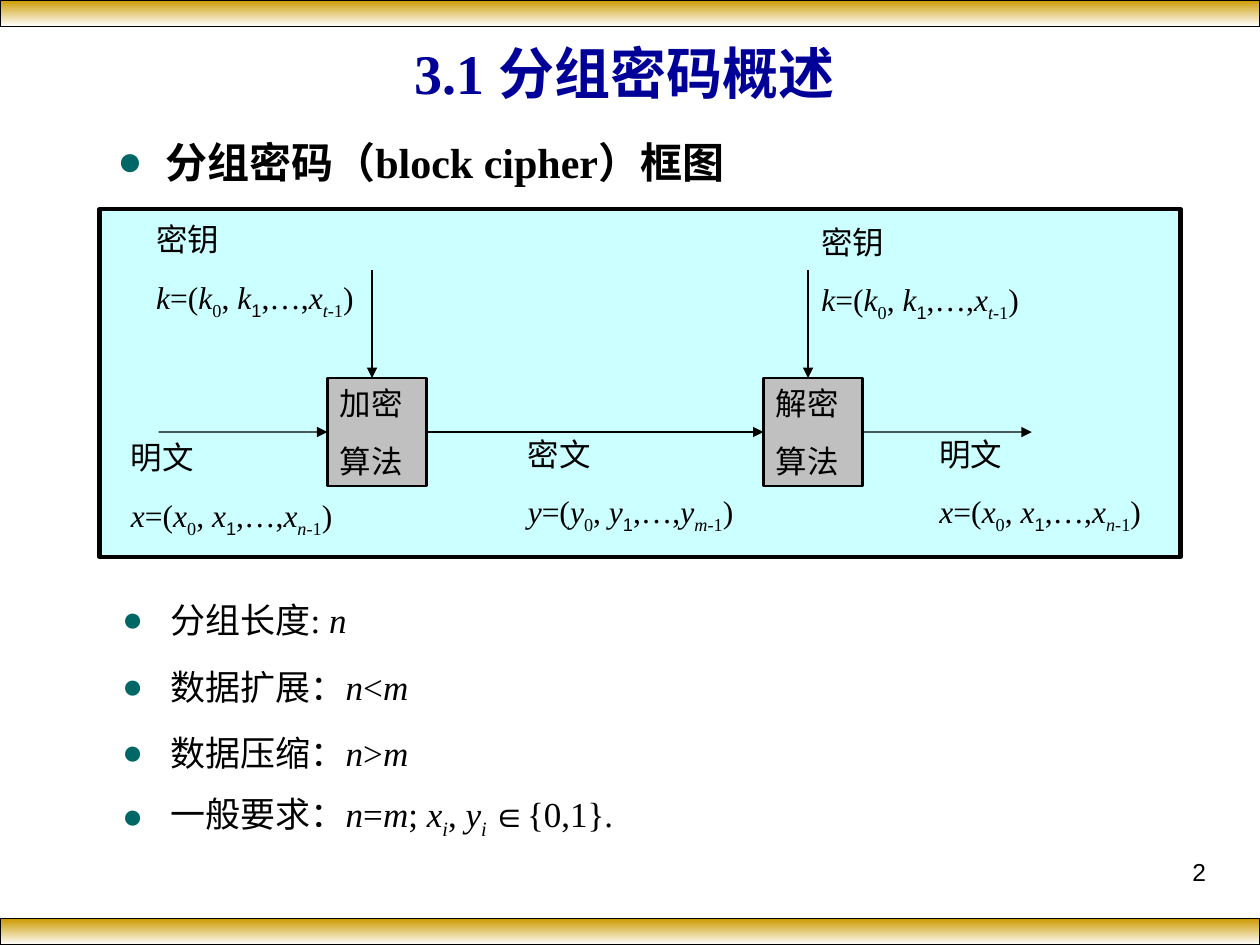
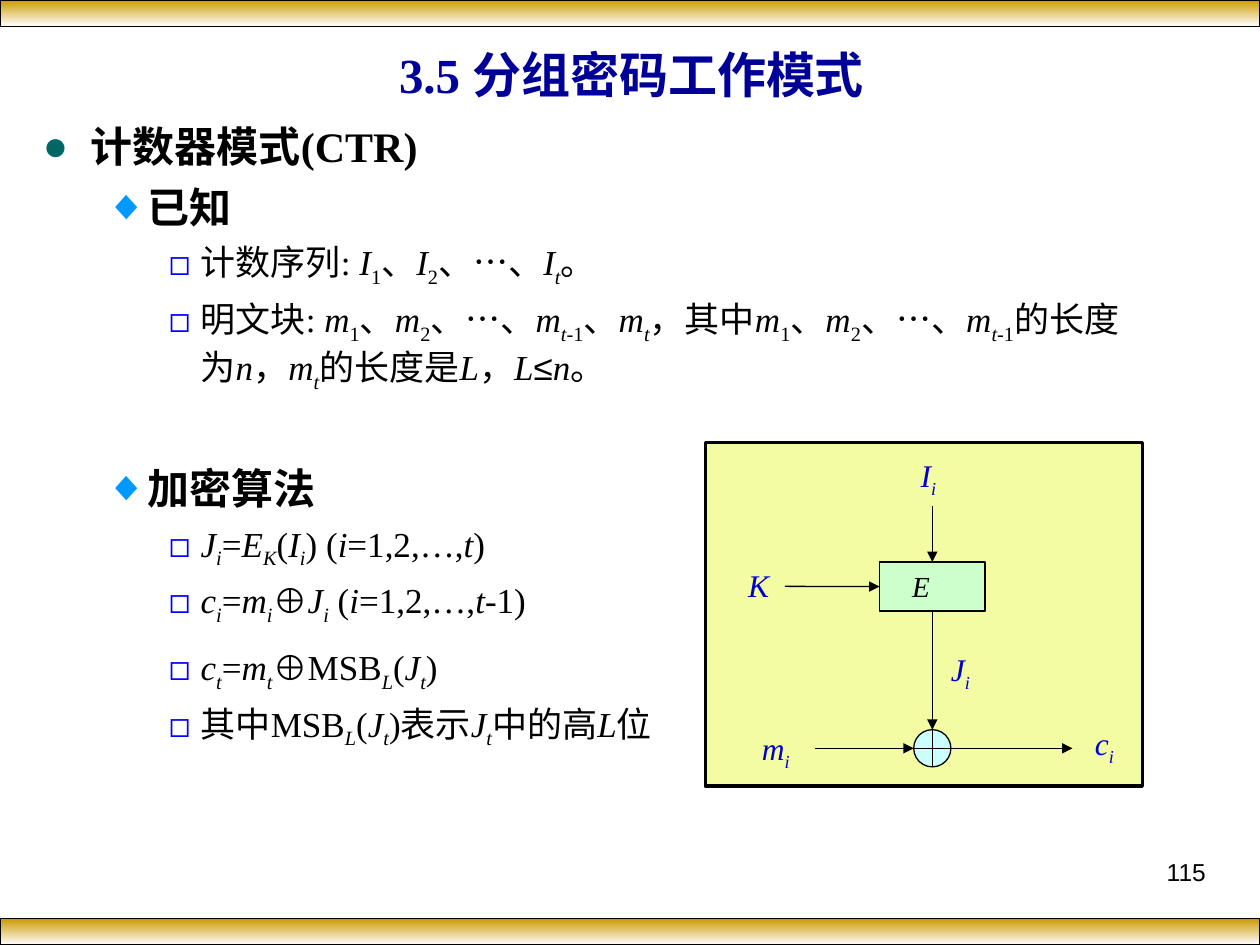
from dataclasses import dataclass

from lxml.etree import SubElement
from pptx import Presentation
from pptx.dml.color import RGBColor
from pptx.enum.shapes import MSO_CONNECTOR, MSO_SHAPE
from pptx.enum.text import MSO_ANCHOR, MSO_AUTO_SIZE, PP_ALIGN
from pptx.oxml.ns import qn
from pptx.util import Cm, Pt


@dataclass(frozen=True)
class Theme:
    serif: str = "Times New Roman"
    sans: str = "Arial"
    ink: str = "000000"
    title: str = "000099"
    symbol: str = "0000CC"
    gold: str = "CC9900"
    white: str = "FFFFFF"
    cyan: str = "CCFFFF"
    grey: str = "C0C0C0"
    yellow: str = "F3FBA3"
    green: str = "CCFFCC"
    label_size: float = 18
    cipher_size: float = 16.6
    page_size: float = 14
    thin: float = 0.75
    label_gap: float = 11.2


@dataclass(frozen=True)
class ListLevel:
    """Look of one list level; margin and hanging indent in cm."""
    depth: int
    bullet: str
    colour: str
    size: float
    bold: bool
    margin: float
    hang: float
    before: float
    line: float = 0


@dataclass(frozen=True)
class Box:
    """A place on the slide, in cm."""
    left: float
    top: float
    width: float
    height: float

    def inside(self, x, y, width, height):
        return Box(self.left + x, self.top + y, width, height)

    def point(self, x, y):
        return Cm(self.left + x), Cm(self.top + y)

    def lengths(self):
        return Cm(self.left), Cm(self.top), Cm(self.width), Cm(self.height)


THEME = Theme()
HEADING = ListLevel(0, "●", "006666", 24, True, 0.97, 0.97, 6)
PROPERTY = ListLevel(0, "●", "006666", 20, False, 0.97, 0.97, 5, 33)
TOPIC = ListLevel(1, "◆", "0099FF", 24, True, 2.06, 0.79, 6)
DETAIL = ListLevel(2, "◻", "0000FF", 20, False, 3.18, 0.64, 5)

PAGE = Box(0, 0, 25.4, 19.05)
BAND_HEIGHT = 0.53


def add_spans(para, marked):
    """Add runs: /italic/, [subscript], ~sans symbol~."""
    italic = lowered = sans = False
    text = ""
    for mark in marked + "/":
        if mark not in "/[]~":
            text += mark
            continue
        if text:
            span = para.add_run()
            span.text = text
            if italic:
                span.font.italic = True
            if sans:
                span.font.name = THEME.sans
            if lowered:
                span.font._element.set("baseline", "-25000")
            text = ""
        if mark == "/":
            italic = not italic
        elif mark == "~":
            sans = not sans
        else:
            lowered = mark == "["


def style_font(para, size, colour=THEME.ink, name=THEME.serif, bold=False):
    font = para.font
    font.size, font.name, font.bold = Pt(size), name, bold
    font.color.rgb = RGBColor.from_string(colour)


def paragraphs(frame, count):
    return [frame.paragraphs[0]] + [frame.add_paragraph() for _ in range(count - 1)]


def write_lines(frame, lines, size, colour=THEME.ink, name=THEME.serif, align=PP_ALIGN.LEFT):
    frame.word_wrap = True
    frame.vertical_anchor = MSO_ANCHOR.TOP
    for index, (para, line) in enumerate(zip(paragraphs(frame, len(lines)), lines)):
        para.alignment = align
        para.space_before = Pt(THEME.label_gap if index else 0)
        style_font(para, size, colour, name)
        add_spans(para, line)


def place(shape, box):
    shape.left, shape.top, shape.width, shape.height = box.lengths()


def fill_title(slide, box, text, size):
    place(slide.shapes.title, box)
    frame = slide.shapes.title.text_frame
    frame.auto_size = MSO_AUTO_SIZE.NONE
    frame.vertical_anchor = MSO_ANCHOR.MIDDLE
    para = frame.paragraphs[0]
    para.alignment = PP_ALIGN.CENTER
    style_font(para, size, THEME.title, bold=True)
    add_spans(para, text)


def set_bullet(para, level):
    properties = para._p.get_or_add_pPr()
    properties.set("marL", str(Cm(level.margin)))
    properties.set("indent", str(-Cm(level.hang)))
    colour = SubElement(properties, qn("a:buClr"))
    SubElement(colour, qn("a:srgbClr"), val=level.colour)
    SubElement(properties, qn("a:buChar"), char=level.bullet)


def fill_list(placeholder, box, items):
    """Items are (level, text) or (level, text, points before)."""
    place(placeholder, box)
    frame = placeholder.text_frame
    frame.auto_size = MSO_AUTO_SIZE.NONE
    for index, (para, item) in enumerate(zip(paragraphs(frame, len(items)), items)):
        level, text, *before = item
        para.level = level.depth
        set_bullet(para, level)
        gap = before[0] if before else level.before
        para.space_before = Pt(gap if index else 0)
        if level.line:
            para.line_spacing = Pt(level.line)
        style_font(para, level.size, bold=level.bold)
        add_spans(para, text)


def add_block(slide, box, fill, line_width, kind=MSO_SHAPE.RECTANGLE):
    block = slide.shapes.add_shape(kind, *box.lengths())
    block.shadow.inherit = False
    block.fill.solid()
    block.fill.fore_color.rgb = RGBColor.from_string(fill)
    block.line.color.rgb = RGBColor.from_string(THEME.ink)
    block.line.width = Pt(line_width)
    return block


def add_label(slide, box, lines, size=THEME.label_size, **look):
    label = slide.shapes.add_textbox(*box.lengths())
    write_lines(label.text_frame, lines, size, **look)


def add_arrow(slide, start, end, source=None, target=None):
    """Draw an arrow; source and target are (block, side) to join."""
    arrow = slide.shapes.add_connector(MSO_CONNECTOR.STRAIGHT, *start, *end)
    if source:
        arrow.begin_connect(*source)
    if target:
        arrow.end_connect(*target)
    arrow.line.color.rgb = RGBColor.from_string(THEME.ink)
    arrow.line.width = Pt(THEME.thin)
    SubElement(arrow.line._get_or_add_ln(), qn("a:tailEnd"), type="triangle")
    SubElement(arrow._element.spPr, qn("a:effectLst"))


def add_bands(slide):
    for top in (0, PAGE.height - BAND_HEIGHT):
        band = add_block(slide, Box(0, top, PAGE.width, BAND_HEIGHT), THEME.gold, THEME.thin)
        band.fill.gradient()
        band.fill.gradient_angle = 270
        for stop, position, colour in zip(band.fill.gradient_stops, (0, 1), (THEME.gold, THEME.white)):
            stop.position = position
            stop.color.rgb = RGBColor.from_string(colour)


def add_page(deck, layout, number):
    slide = deck.slides.add_slide(deck.slide_layouts.get_by_name(layout))
    add_bands(slide)
    add_label(slide, Box(18.21, 17.15, 6.35, 1.32), [number], THEME.page_size,
              name=THEME.sans, align=PP_ALIGN.RIGHT)
    return slide


def vector(name, element, last):
    return f"/{name}/=(/{element}/[0], /{element}/[~1~],…,/{'x' if name == 'k' else element}/[/{last}/-1])"


def draw_cipher_flow(slide, box):
    add_block(slide, box, THEME.cyan, 2.5)
    block_top, block_width, block_height = 3.4, 2, 2.18
    middle = block_top + block_height / 2
    blocks = []
    for x, name in ((4.59, "加密"), (13.38, "解密")):
        block = add_block(slide, box.inside(x, block_top, block_width, block_height), THEME.grey, 1.5)
        write_lines(block.text_frame, [name, "算法"], THEME.label_size, name=THEME.sans)
        key_x = x + 0.9
        add_arrow(slide, box.point(key_x, 1.22), box.point(key_x, block_top))
        blocks.append(block)
    encrypt, decrypt = blocks
    start, end = box.point(1.19, middle), box.point(18.79, middle)
    add_arrow(slide, start, end, target=(encrypt, 1))
    add_arrow(slide, start, end, source=(encrypt, 3), target=(decrypt, 1))
    add_arrow(slide, start, end, source=(decrypt, 3))
    for x, y, name, formula in (
        (0.38, 4.49, "明文", vector("x", "x", "n")),
        (8.38, 4.42, "密文", vector("y", "y", "m")),
        (16.68, 4.42, "明文", vector("x", "x", "n")),
        (0.89, 0.1, "密钥", vector("k", "k", "t")),
        (14.3, 0.15, "密钥", vector("k", "k", "t")),
    ):
        add_label(slide, box.inside(x, y, 4.8, 2.29), [name, formula])


def draw_counter_mode(slide, box):
    add_block(slide, box, THEME.yellow, 2)
    cipher_box = box.inside(3.51, 2.41, 2.13, 0.99)
    cipher = add_block(slide, cipher_box, THEME.green, THEME.thin)
    write_lines(cipher.text_frame, ["/E/"], THEME.cipher_size)
    cipher.text_frame.margin_left = Cm(0.66)
    xor_left, xor_top, xor_size = 4.2, 5.79, 0.75
    add_block(slide, box.inside(xor_left, xor_top, xor_size, xor_size), THEME.cyan, THEME.thin,
              MSO_SHAPE.FLOWCHART_OR)
    axis, row = xor_left + xor_size / 2, xor_top + xor_size / 2
    xor_point = box.point(axis, xor_top)
    add_arrow(slide, box.point(axis, 1.29), xor_point, target=(cipher, 0))
    add_arrow(slide, box.point(1.6, 2.9), xor_point, target=(cipher, 1))
    add_arrow(slide, xor_point, xor_point, source=(cipher, 2))
    add_arrow(slide, box.point(2.21, row), box.point(xor_left, row))
    add_arrow(slide, box.point(xor_left + xor_size, row), box.point(7.4, row))
    for x, y, symbol in (
        (4.09, 0.15, "/I[i]/"), (0.61, 2.36, "/K/"), (4.7, 4.06, "/J[i]/"),
        (0.89, 5.66, "/m[i]/"), (7.6, 5.56, "/c[i]/"),
    ):
        add_label(slide, box.inside(x, y, 1.37, 1.12), [symbol], colour=THEME.symbol)


def build_overview(deck):
    slide = add_page(deck, "Two Content", "2")
    fill_title(slide, Box(1.5, 0.53, 22.17, 1.85), "3.1 分组密码概述", 32)
    fill_list(slide.placeholders[1], Box(2.11, 2.62, 21.59, 1.27),
              [(HEADING, "分组密码（block cipher）框图")])
    draw_cipher_flow(slide, Box(2.01, 4.22, 21.79, 7.01))
    fill_list(slide.placeholders[2], Box(2.21, 11.63, 21.59, 5.44), [
        (PROPERTY, "分组长度: /n/"),
        (PROPERTY, "数据扩展：/n/</m/"),
        (PROPERTY, "数据压缩：/n/>/m/"),
        (PROPERTY, "一般要求：/n/=/m/; /x[i]/, /y[i ]/~∈~{0,1}."),
    ])


def build_counter_mode(deck):
    slide = add_page(deck, "Title and Content", "115")
    fill_title(slide, Box(1.3, 0.81, 22.86, 1.37), "3.5 分组密码工作模式", 28)
    fill_list(slide.placeholders[1], Box(0.61, 2.31, 22.78, 12.93), [
        (HEADING, "计数器模式(CTR)"),
        (TOPIC, "已知"),
        (DETAIL, "计数序列: /I/[1]、/I/[2]、…、/I[t]/。"),
        (DETAIL, "明文块: /m/[1]、/m/[2]、…、/m/[/t/-1]、/m[t]/，其中/m/[1]、/m/[2]、…、/m/[/t/-1]"
                 "的长度为/n/，/m[t]/的长度是/L/，/L/~≤~/n/。"),
        (TOPIC, "加密算法", 40),
        (DETAIL, "/J[i]/=/E[K]/(/I[i]/) (/i/=1,2,…,/t/)"),
        (DETAIL, "/c[i]/=/m[i]/~⊕~/J[i]/ (/i/=1,2,…,/t/-1)"),
        (DETAIL, "/c[t]/=/m[t]/~⊕~MSB[/L/](/J[t]/)", 11),
        (DETAIL, "其中MSB[/L/](/J[t]/)表示/J[t]/中的高/L/位"),
    ])
    draw_counter_mode(slide, Box(14.22, 8.92, 8.81, 6.93))


def main():
    deck = Presentation()
    deck.slide_width, deck.slide_height = Cm(PAGE.width), Cm(PAGE.height)
    build_overview(deck)
    build_counter_mode(deck)
    deck.save("out.pptx")


if __name__ == "__main__":
    main()
